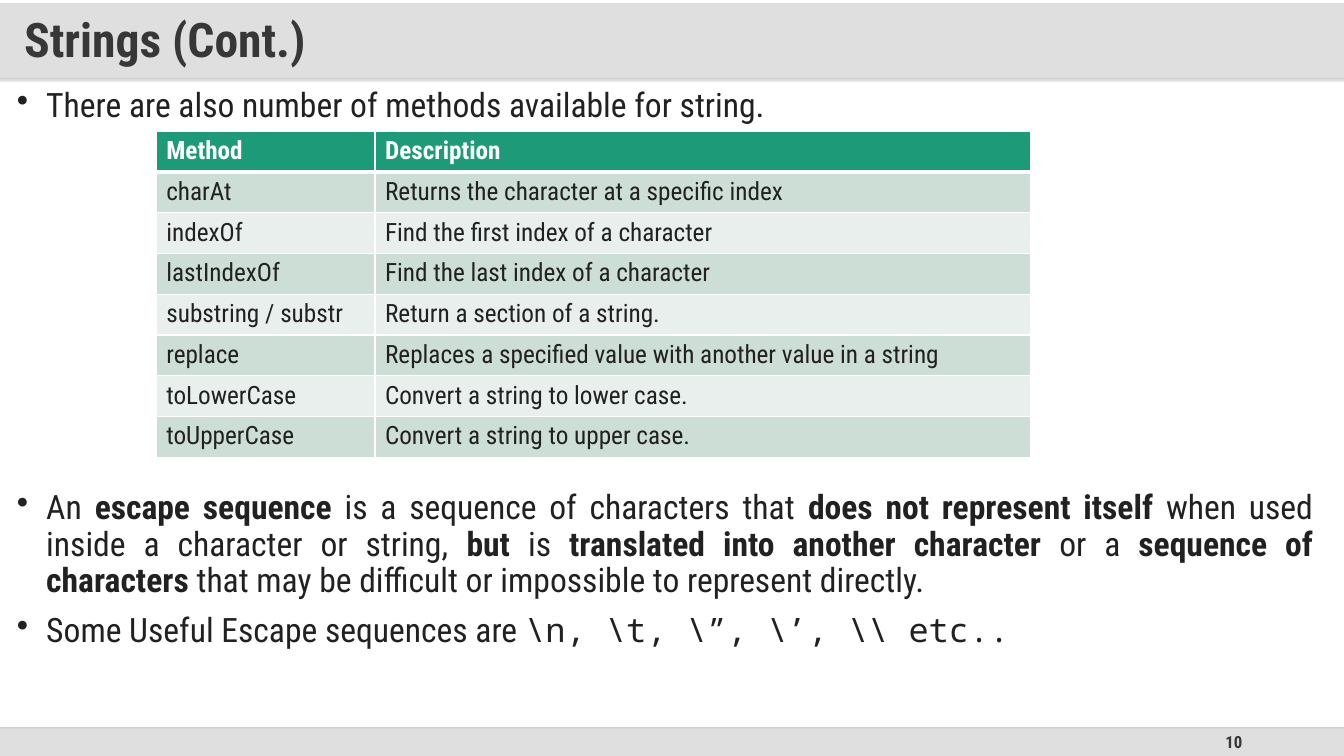
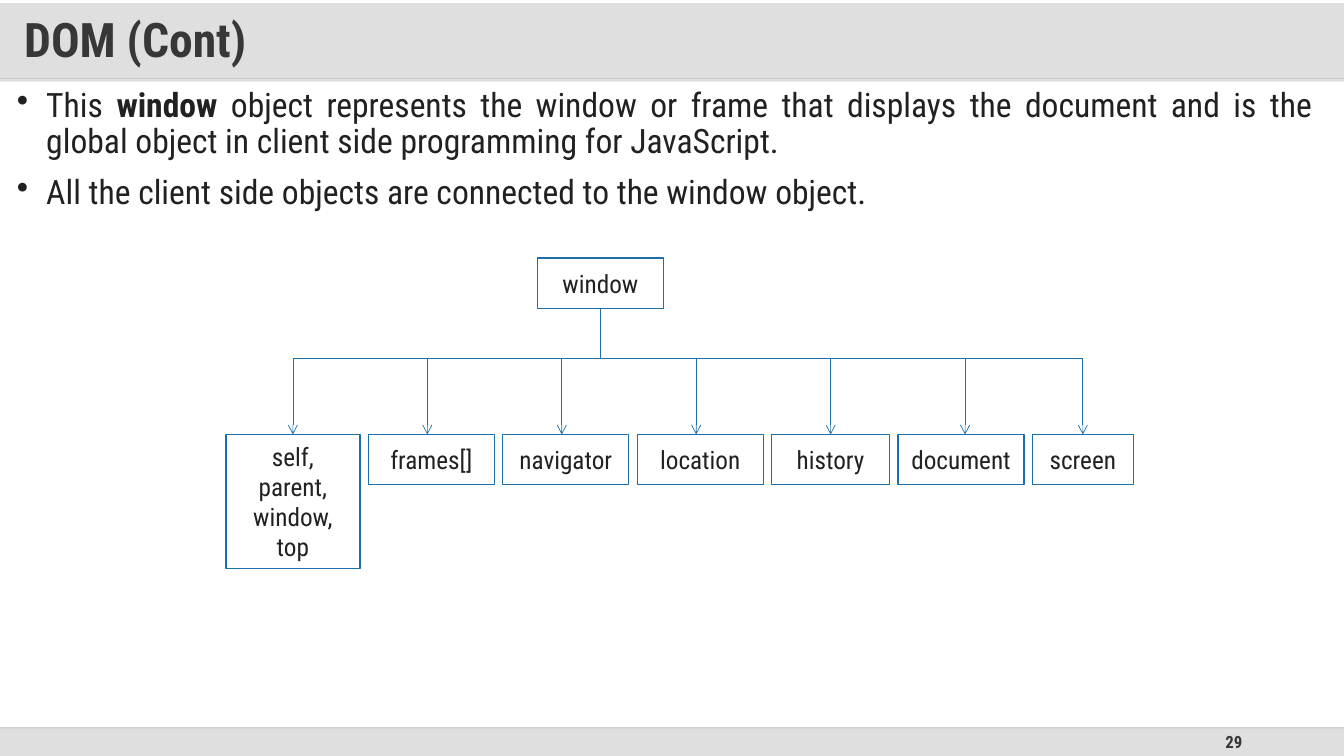
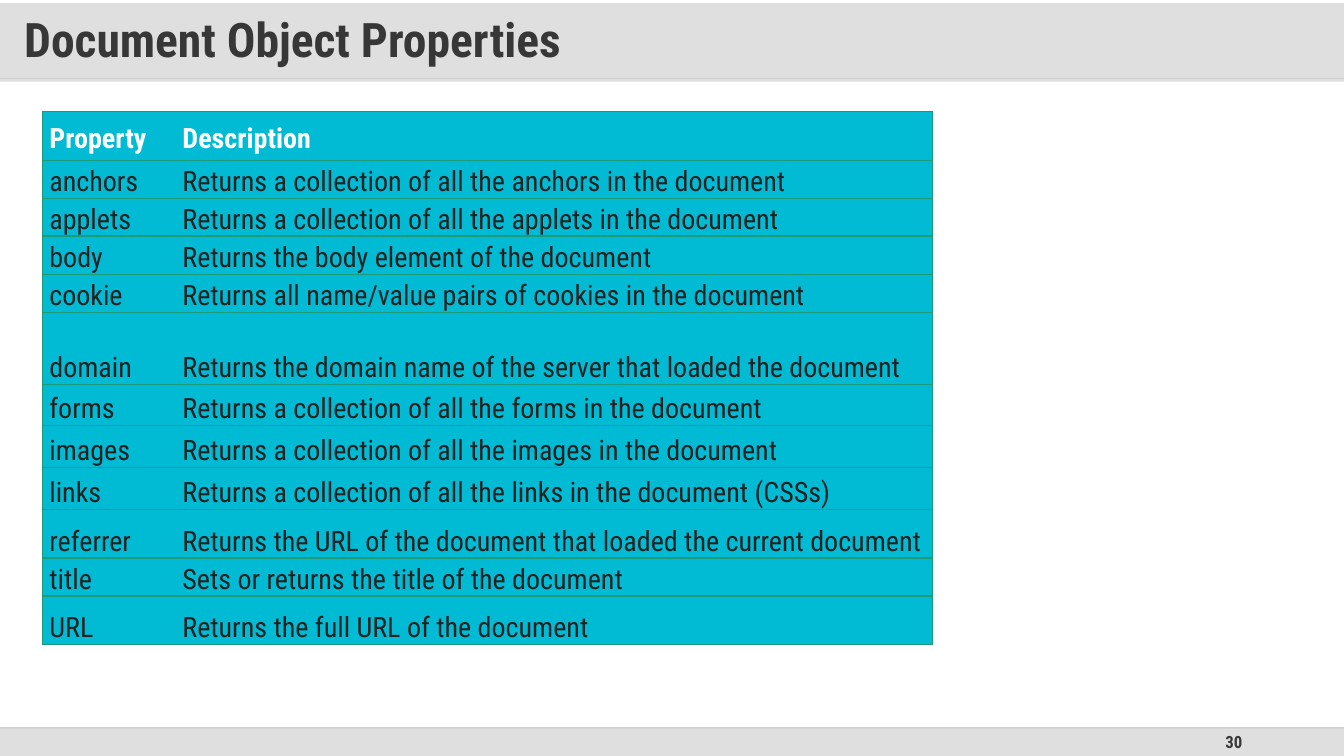
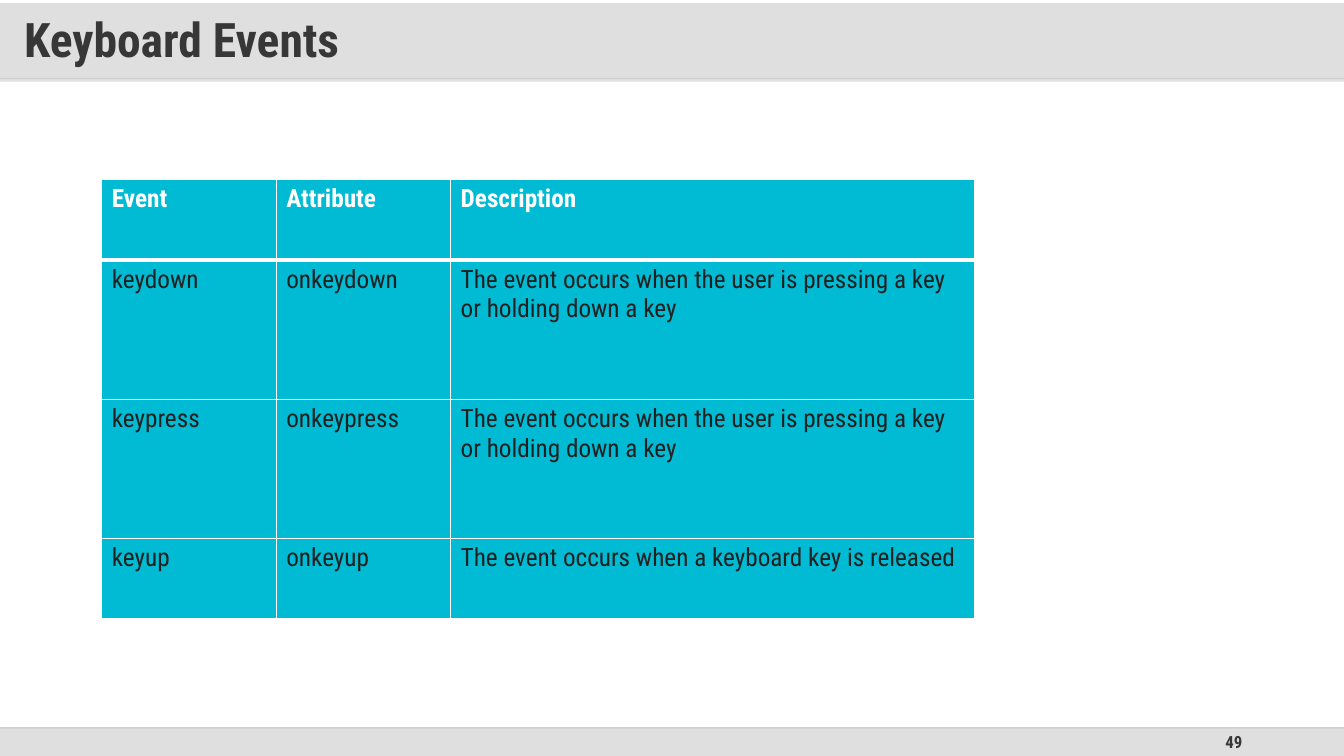
from itertools import cycle

from lxml.etree import SubElement
from pptx import Presentation
from pptx.dml.color import RGBColor
from pptx.enum.shapes import MSO_CONNECTOR, MSO_SHAPE
from pptx.enum.text import MSO_ANCHOR, PP_ALIGN
from pptx.oxml.ns import qn
from pptx.util import Inches, Pt

COLORS = {
    "white": "FFFFFF", "text": "212121", "title": "373737",
    "title_band": "C0C0C0", "title_rule": "D9D9D9",
    "footer_band": "DFDFDF", "footer_rule": "BFBFBF",
    "green": "1D9A78", "green_mid": "CDDED6", "green_pale": "E8EFEC",
    "cyan": "00BBD3", "blue": "1D6FA9",
}
FONT = "Roboto Condensed"
MONO_FONT = "Noto Sans Mono"
SLIDE_WIDTH, SLIDE_HEIGHT = 13.33, 7.5
FOOTER_TOP, FOOTER_HEIGHT = 7.22, 0.28


def color(name):
    return RGBColor.from_string(COLORS[name])


def set_opacity(properties, percent):
    """Make the first colour inside a properties element see-through."""
    color_element = next(properties.iter(qn("a:srgbClr")))
    SubElement(color_element, qn("a:alpha"), val=str(percent * 1000))


def set_margins(target, horizontal, vertical):
    target.margin_left = target.margin_right = Inches(horizontal)
    target.margin_top = target.margin_bottom = Inches(vertical)


def set_border(cell, side, color_name, width):
    """Draw one side (L, R, T or B) of a cell; no width means no line."""
    properties = cell._tc.get_or_add_tcPr()
    line = SubElement(properties, qn(f"a:ln{side}"), w=str(Pt(width)))
    if width:
        fill = SubElement(line, qn("a:solidFill"))
        SubElement(fill, qn("a:srgbClr"), val=COLORS[color_name])
    else:
        SubElement(line, qn("a:noFill"))


def add_bullet(paragraph):
    properties = paragraph._p.get_or_add_pPr()
    properties.set("marL", str(Inches(0.29)))
    properties.set("indent", str(-Inches(0.29)))
    bullet_color = SubElement(properties, qn("a:buClr"))
    SubElement(bullet_color, qn("a:srgbClr"), val=COLORS["text"])
    SubElement(properties, qn("a:buChar"), char="•")


class Deck:
    def __init__(self):
        self.presentation = Presentation()
        self.presentation.slide_width = Inches(SLIDE_WIDTH)
        self.presentation.slide_height = Inches(SLIDE_HEIGHT)
        self.slide = None

    def new_slide(self, title, number):
        blank_layout = self.presentation.slide_layouts[6]
        self.slide = self.presentation.slides.add_slide(blank_layout)
        self.box(0, FOOTER_TOP, SLIDE_WIDTH, FOOTER_HEIGHT, "footer_band")
        page_number = self.box(9.42, FOOTER_TOP, 3, FOOTER_HEIGHT)
        self.label(page_number, number, 12, "title", True, PP_ALIGN.RIGHT)
        self.line(0, 0.78, SLIDE_WIDTH, 0.78, "title_rule", 1)
        footer_rule = self.line(0, FOOTER_TOP, SLIDE_WIDTH, FOOTER_TOP, "footer_rule", 1)
        set_opacity(footer_rule.line._ln, 70)
        band = self.box(0, 0.03, SLIDE_WIDTH, 0.78, "title_band")
        set_opacity(band._element.spPr, 50)
        set_margins(band.text_frame, 0.24, 0.12)
        self.label(band, title, 34, "title", True, PP_ALIGN.LEFT)
        band.text_frame.paragraphs[0].line_spacing = 0.9

    def box(self, left, top, width, height, fill=None, outline=None):
        shape = self.slide.shapes.add_shape(
            MSO_SHAPE.RECTANGLE, Inches(left), Inches(top), Inches(width), Inches(height))
        shape.shadow.inherit = False
        if fill:
            shape.fill.solid()
            shape.fill.fore_color.rgb = color(fill)
        else:
            shape.fill.background()
        if outline:
            shape.line.color.rgb = color(outline)
            shape.line.width = Pt(1)
        else:
            shape.line.fill.background()
        return shape

    def style(self, run, size, color_name="text", bold=False, font=FONT):
        run.font.name = font
        run.font.size = Pt(size)
        run.font.bold = bold
        run.font.color.rgb = color(color_name)

    def label(self, target, text, size, color_name="text", bold=False, alignment=None):
        """Write plain text into a shape or a table cell."""
        target.text_frame.text = text
        for paragraph in target.text_frame.paragraphs:
            if alignment is not None:
                paragraph.alignment = alignment
            for run in paragraph.runs:
                self.style(run, size, color_name, bold)

    def line(self, x1, y1, x2, y2, color_name="blue", width=0.5, arrow=False):
        connector = self.slide.shapes.add_connector(
            MSO_CONNECTOR.STRAIGHT, Inches(x1), Inches(y1), Inches(x2), Inches(y2))
        connector.line.color.rgb = color(color_name)
        connector.line.width = Pt(width)
        if arrow:
            SubElement(connector.line._ln, qn("a:tailEnd"), type="arrow")
        SubElement(connector._element.spPr, qn("a:effectLst"))
        return connector

    def bullets(self, top, height, items):
        """Write bullets; ** surrounds bold words and ` surrounds code."""
        text_box = self.slide.shapes.add_textbox(
            Inches(0.07), Inches(top), Inches(13.05), Inches(height))
        frame = text_box.text_frame
        frame.word_wrap = True
        for index, item in enumerate(items):
            paragraph = frame.add_paragraph() if index else frame.paragraphs[0]
            add_bullet(paragraph)
            paragraph.alignment = PP_ALIGN.JUSTIFY
            paragraph.line_spacing = 0.9
            if index:
                paragraph.space_before = Pt(10)
            for part, font in zip(item.split("`"), cycle((FONT, MONO_FONT))):
                for words, bold in zip(part.split("**"), cycle((False, True))):
                    if words:
                        run = paragraph.add_run()
                        run.text = words
                        self.style(run, 24, bold=bold, font=font)

    def table(self, left, top, widths, heights, rows, header_fill, body_fills,
              size=18, ruled=False):
        """Add a table with a white grid, or a ruled one without inner uprights."""
        frame = self.slide.shapes.add_table(
            len(rows), len(widths), Inches(left), Inches(top),
            Inches(sum(widths)), Inches(sum(heights)))
        table = frame.table
        for column, width in zip(table.columns, widths):
            column.width = Inches(width)
        fills = cycle(body_fills)
        last_column = len(widths) - 1
        for row_index, (texts, height) in enumerate(zip(rows, heights)):
            table.rows[row_index].height = Inches(height)
            header = row_index == 0
            fill = header_fill if header else next(fills)
            for column_index, text in enumerate(texts):
                cell = table.cell(row_index, column_index)
                self.label(cell, text, size, "white" if header else "text", header)
                if ruled:
                    set_margins(cell, 0.07, 0)
                    cell.vertical_anchor = MSO_ANCHOR.MIDDLE if header else MSO_ANCHOR.BOTTOM
                    cell.text_frame.paragraphs[0].line_spacing = 1.15
                    border_widths = {"L": int(column_index == 0),
                                     "R": int(column_index == last_column), "T": 1, "B": 1}
                else:
                    border_widths = {"L": 1, "R": 1, "T": 3 if row_index == 1 else 1,
                                     "B": 3 if header else 1}
                for side, width in border_widths.items():
                    set_border(cell, side, "green" if ruled else "white", width)
                cell.fill.solid()
                cell.fill.fore_color.rgb = color(fill)

    def node(self, text, left, top, width, height):
        shape = self.box(left, top, width, height, "white", "blue")
        self.label(shape, text, 18, alignment=PP_ALIGN.CENTER)
        return shape


def add_strings_slide(deck):
    deck.new_slide("Strings (Cont.)", "10")
    deck.bullets(0.83, 0.45, ["There are also number of methods available for string."])
    rows = [
        ("Method", "Description"),
        ("charAt", "Returns the character at a specific index"),
        ("indexOf", "Find the first index of a character"),
        ("lastIndexOf", "Find the last index of a character"),
        ("substring / substr", "Return a section of a string."),
        ("replace", "Replaces a specified value with another value in a string"),
        ("toLowerCase", "Convert a string to lower case."),
        ("toUpperCase", "Convert a string to upper case."),
    ]
    deck.table(1.55, 1.3, [2.17, 6.5], [3.24 / len(rows)] * len(rows), rows,
               "green", ["green_mid", "green_pale"])
    deck.bullets(4.82, 2.12, [
        "An **escape sequence **is a sequence of characters that **does not represent "
        "itself **when used inside a character or string, **but **is **translated into "
        "another character **or a **sequence of characters **that may be difficult or "
        "impossible to represent directly.",
        "Some Useful Escape sequences are `\\n, \\t, \\”, \\’, \\\\ etc..`",
    ])


def add_dom_slide(deck):
    deck.new_slide("DOM (Cont)", "29")
    deck.bullets(0.83, 1.5, [
        "This **window** object represents the window or frame that displays the document "
        "and is the global object in client side programming for JavaScript.",
        "All the client side objects are connected to the window object.",
    ])
    rail_y, child_top, gap = 3.56, 4.31, 1 / 12
    window = deck.node("window", 5.33, 2.56, 1.25, 0.5)
    # Label, width, height, and arrow offset from the middle of the box
    children = [
        ("self,\nparent,\nwindow,\ntop", 1.33, 1.33, 0),
        ("frames[]", 1.25, 0.5, -0.04),
        ("navigator", 1.25, 0.5, -0.04),
        ("location", 1.25, 0.5, -0.04),
        ("history", 1.17, 0.5, 0),
        ("document", 1.25, 0.5, 0.04),
        ("screen", 1, 0.5, 0),
    ]
    left = 2.24
    arrow_positions = []
    for text, width, height, offset in children:
        child = deck.node(text, left, child_top, width, height)
        arrow_x = left + width / 2 + offset
        arrow = deck.line(arrow_x, rail_y, arrow_x, child_top, arrow=True)
        if not offset:
            arrow.end_connect(child, 0)
        arrow_positions.append(arrow_x)
        left += width + gap
    window_x = 5.33 + 1.25 / 2
    stem = deck.line(window_x, rail_y, window_x, 3.06)
    stem.end_connect(window, 2)
    deck.line(arrow_positions[0], rail_y, arrow_positions[-1], rail_y)


def add_properties_slide(deck):
    deck.new_slide("Document Object Properties", "30")
    rows = [
        ("Property", "Description"),
        ("anchors", "Returns a collection of all the anchors in the document"),
        ("applets", "Returns a collection of all the applets in the document"),
        ("body", "Returns the body element of the document"),
        ("cookie", "Returns all name/value pairs of cookies in the document"),
        ("domain", "Returns the domain name of the server that loaded the document"),
        ("forms", "Returns a collection of all the forms in the document"),
        ("images", "Returns a collection of all the images in the document"),
        ("links", "Returns a collection of all the links in the document (CSSs)"),
        ("referrer", "Returns the URL of the document that loaded the current document"),
        ("title", "Sets or returns the title of the document"),
        ("URL", "Returns the full URL of the document"),
    ]
    heights = [0.48, 0.35, 0.33, 0.38, 0.33, 0.72, 0.4, 0.42, 0.42, 0.48, 0.34, 0.48]
    deck.table(0.42, 1.11, [1.32, 7.51], heights, rows, "cyan", ["cyan"], 20, ruled=True)


def add_keyboard_slide(deck):
    deck.new_slide("Keyboard Events", "49")
    pressing = "The event occurs when the user is pressing a key or holding down a key"
    rows = [
        ("Event", "Attribute", "Description"),
        ("keydown", "onkeydown", pressing),
        ("keypress", "onkeypress", pressing),
        ("keyup", "onkeyup", "The event occurs when a keyboard key is released"),
    ]
    deck.table(1.01, 1.78, [1.73, 1.73, 5.2], [0.8, 1.38, 1.38, 0.8], rows, "cyan", ["cyan"])


def main():
    deck = Deck()
    add_strings_slide(deck)
    add_dom_slide(deck)
    add_properties_slide(deck)
    add_keyboard_slide(deck)
    deck.presentation.save("out.pptx")


if __name__ == "__main__":
    main()
